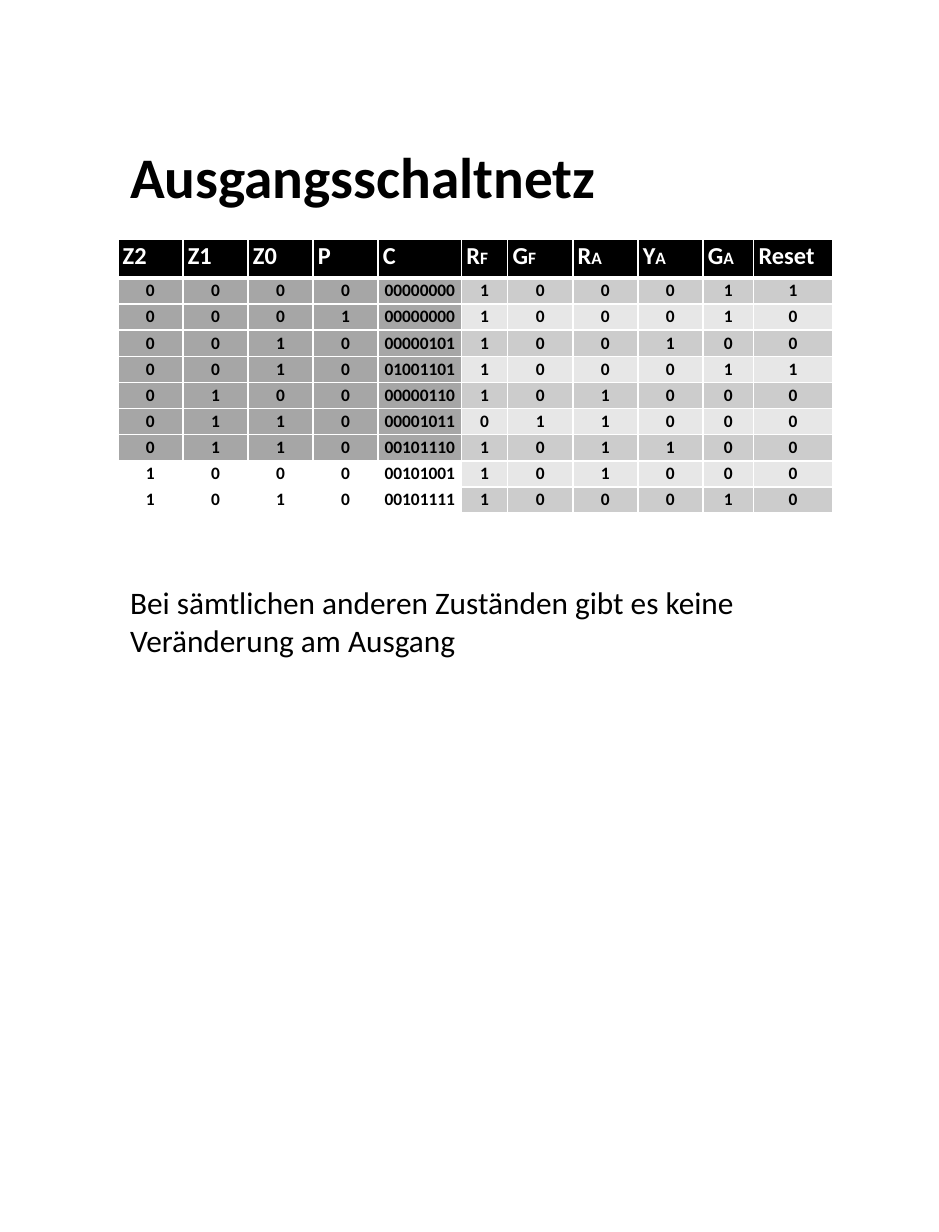
"""Build the slide "Ausgangsschaltnetz" with its state and output table."""
from lxml import etree
from pptx import Presentation, util as u
from pptx.dml.color import RGBColor
from pptx.enum import text
from pptx.oxml.ns import qn

TITLE = "Ausgangsschaltnetz"
NOTE = "Bei sämtlichen anderen Zuständen gibt es keine Veränderung am Ausgang"
FONT = "Calibri"
BLACK, WHITE, STATE_GREY = "000000", "FFFFFF", "A6A6A6"
BANDS = ("CCCCCC", "E7E7E7")

HEADERS = [("Z2", ""), ("Z1", ""), ("Z0", ""), ("P", ""), ("C", ""), ("R", "F"),
           ("G", "F"), ("R", "A"), ("Y", "A"), ("G", "A"), ("Reset", "")]
STATES = [
    ("0000", "00000000", "100011"),
    ("0001", "00000000", "100010"),
    ("0010", "00000101", "100100"),
    ("0010", "01001101", "100011"),
    ("0100", "00000110", "101000"),
    ("0110", "00001011", "011000"),
    ("0110", "00101110", "101100"),
    ("1000", "00101001", "101000"),
    ("1010", "00101111", "100010"),
]
INPUT_COUNT = 5
COLUMN_WIDTHS = [1.32] * 4 + [1.69, 0.94] + [1.32] * 3 + [1.03, 1.6]
HEADER_HEIGHT, ROW_HEIGHT = 0.79, 0.53
LEFT, TABLE_TOP, TABLE_WIDTH = 2.39, 4.85, sum(COLUMN_WIDTHS)


def colour(value):
    return RGBColor.from_string(value)


def set_font(font, size, value, bold):
    font.name, font.size, font.bold = FONT, u.Pt(size), bold
    font.color.rgb = colour(value)


def add_text(slide, wording, top, width, height, size, bold, anchor, spacing):
    box = slide.shapes.add_textbox(u.Cm(LEFT), u.Cm(top), u.Cm(width), u.Cm(height))
    frame = box.text_frame
    frame.word_wrap, frame.vertical_anchor = True, anchor
    paragraph = frame.paragraphs[0]
    paragraph.text, paragraph.line_spacing = wording, spacing
    set_font(paragraph.font, size, BLACK, bold)


def style_cell(cell, fill, top_width, bottom_width):
    cell.margin_left = cell.margin_right = u.Cm(0.1)
    cell.margin_top = cell.margin_bottom = u.Cm(0.05)
    properties = cell._tc.get_or_add_tcPr()
    for side, width in zip("LRTB", (1, 1, top_width, bottom_width)):
        line = etree.SubElement(properties, qn(f"a:ln{side}"), w=str(u.Pt(width)))
        solid = etree.SubElement(line, qn("a:solidFill"))
        etree.SubElement(solid, qn("a:srgbClr"), val=WHITE)
    cell.fill.solid()
    cell.fill.fore_color.rgb = colour(fill)


def add_state_table(slide):
    height = HEADER_HEIGHT + ROW_HEIGHT * len(STATES)
    table = slide.shapes.add_table(
        len(STATES) + 1, len(HEADERS), u.Cm(LEFT), u.Cm(TABLE_TOP),
        u.Cm(TABLE_WIDTH), u.Cm(height)).table
    for column, width in zip(table.columns, COLUMN_WIDTHS):
        column.width = u.Cm(width)
    for index, row in enumerate(table.rows):
        row.height = u.Cm(ROW_HEIGHT if index else HEADER_HEIGHT)

    for index, (name, suffix) in enumerate(HEADERS):
        cell = table.cell(0, index)
        style_cell(cell, BLACK, 1, 3)
        paragraph = cell.text_frame.paragraphs[0]
        paragraph.text = name
        set_font(paragraph.font, 14, WHITE, True)
        if suffix:
            run = paragraph.add_run()
            run.text, run.font.size = suffix, u.Pt(10)

    for row, (state, counter, outputs) in enumerate(STATES):
        input_fill = STATE_GREY if state[0] == "0" else WHITE
        for column, value in enumerate([*state, counter, *outputs]):
            cell = table.cell(row + 1, column)
            fill = input_fill if column < INPUT_COUNT else BANDS[row % 2]
            style_cell(cell, fill, 1 if row else 3, 1)
            paragraph = cell.text_frame.paragraphs[0]
            paragraph.text, paragraph.alignment = value, text.PP_ALIGN.CENTER
            set_font(paragraph.font, 10, BLACK, True)


presentation = Presentation()
presentation.slide_width, presentation.slide_height = u.Cm(19.05), u.Cm(25)
slide = presentation.slides.add_slide(presentation.slide_layouts[6])
add_text(slide, TITLE, 1.24, 12.12, 4.83, 33, True, text.MSO_ANCHOR.MIDDLE, 0.9)
add_state_table(slide)
add_text(slide, NOTE, 11.71, TABLE_WIDTH, 2.57, 18, False, text.MSO_ANCHOR.TOP, 1.0)
presentation.save("out.pptx")
